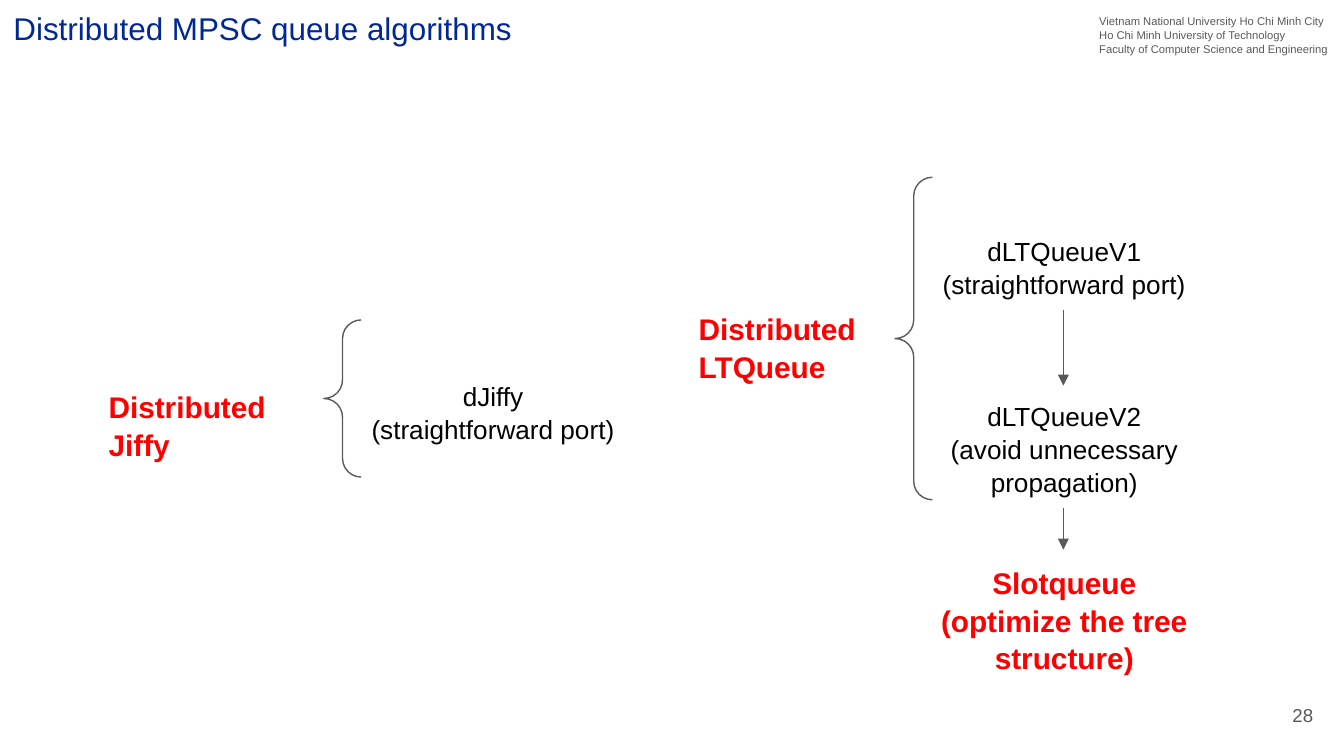
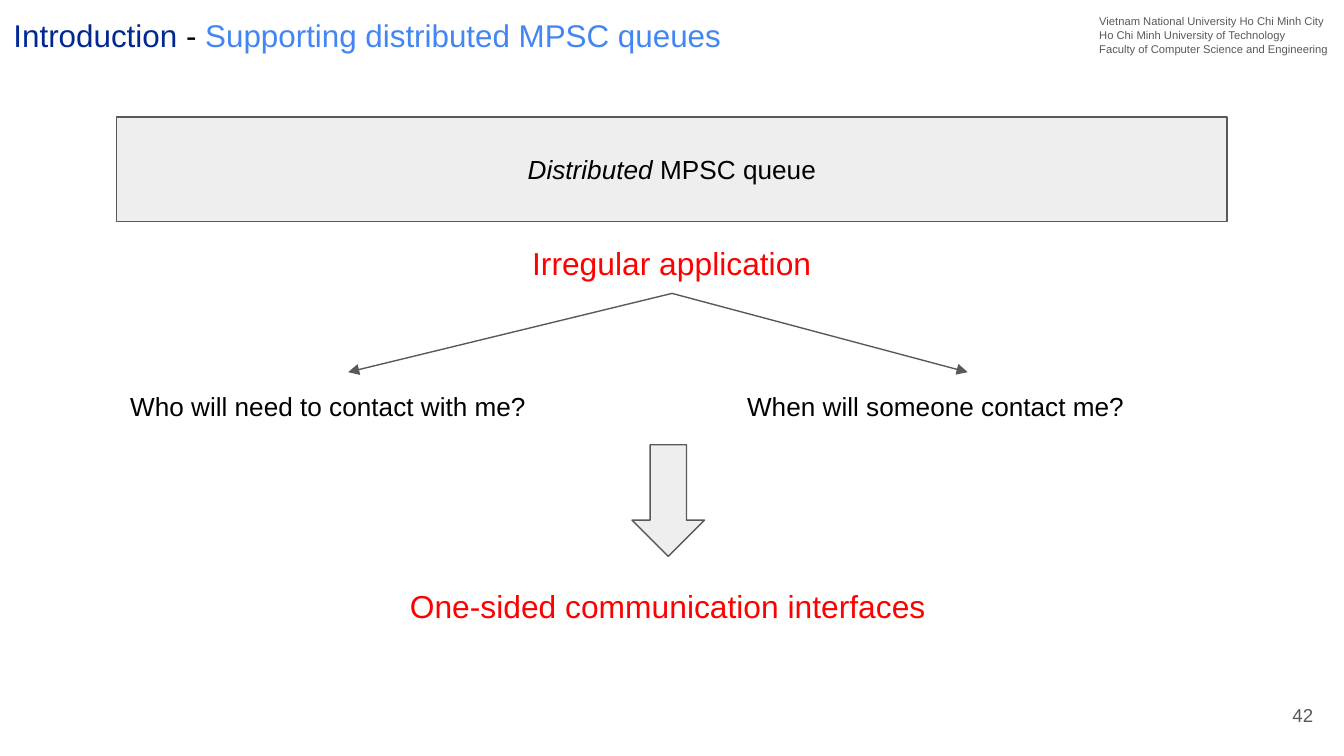
import pptx
import pptx.dml.color
import pptx.enum.shapes
import pptx.enum.text
import pptx.oxml.ns
import pptx.util
from lxml import etree

Pt = pptx.util.Pt
RGBColor = pptx.dml.color.RGBColor
SHAPE = pptx.enum.shapes.MSO_SHAPE
ALIGN = pptx.enum.text.PP_ALIGN
ANCHOR = pptx.enum.text.MSO_ANCHOR

NAVY = RGBColor(0x00, 0x27, 0x92)
SKY = RGBColor(0x42, 0x85, 0xF4)
RED = RGBColor(0xFF, 0x00, 0x00)
BLACK = RGBColor(0x00, 0x00, 0x00)
GRAY = RGBColor(0x59, 0x59, 0x59)
PALE = RGBColor(0xEE, 0xEE, 0xEE)

FONT = "Arial"
INSET = 7.2
TITLE_SIZE = 16.8
BODY_SIZE = 14
BAND_LEFT, BAND_WIDTH = 62.6, 594.7
UNIVERSITY = [
    "Vietnam National University Ho Chi Minh City",
    "Ho Chi Minh University of Technology",
    "Faculty of Computer Science and Engineering",
]


def prepare_frame(frame, anchor):
    frame.word_wrap = True
    frame.auto_size = pptx.enum.text.MSO_AUTO_SIZE.NONE
    frame.vertical_anchor = anchor
    frame.margin_left = frame.margin_right = Pt(INSET)
    frame.margin_top = frame.margin_bottom = Pt(INSET)


def format_run(run, size, color, bold=False, italic=False):
    run.font.name = FONT
    run.font.size = Pt(size)
    run.font.color.rgb = color
    run.font.bold = bold
    run.font.italic = italic


def add_runs(paragraph, texts):
    for text in texts:
        paragraph.add_run().text = text
    return paragraph.runs


def add_label(slide, left, top, width, height, lines, size=BODY_SIZE,
              color=BLACK, bold=False, align=ALIGN.CENTER, anchor=ANCHOR.TOP):
    label = slide.shapes.add_textbox(Pt(left), Pt(top), Pt(width), Pt(height))
    frame = label.text_frame
    prepare_frame(frame, anchor)
    frame.text = "\n".join(lines)
    for paragraph in frame.paragraphs:
        paragraph.alignment = align
        paragraph.line_spacing = 1.05
        for run in paragraph.runs:
            format_run(run, size, color, bold)


def add_outlined(slide, kind, left, top, width, height, fill=None):
    outlined = slide.shapes.add_shape(kind, Pt(left), Pt(top), Pt(width), Pt(height))
    outlined.shadow.inherit = False
    outlined.line.color.rgb = GRAY
    outlined.line.width = Pt(0.75)
    if fill is None:
        outlined.fill.background()
    else:
        outlined.fill.solid()
        outlined.fill.fore_color.rgb = fill
    return outlined


def add_brace(slide, left, top, height):
    brace = add_outlined(slide, SHAPE.LEFT_BRACE, left, top, 20, height)
    brace.adjustments[0] = 0.5
    brace.adjustments[1] = 0.5


def add_arrow(slide, start, end):
    arrow = slide.shapes.add_connector(
        pptx.enum.shapes.MSO_CONNECTOR.STRAIGHT, *map(Pt, start + end))
    arrow.line.color.rgb = GRAY
    arrow.line.width = Pt(0.75)
    qn = pptx.oxml.ns.qn
    etree.SubElement(arrow.line._get_or_add_ln(), qn("a:tailEnd"), type="triangle")
    etree.SubElement(arrow._element.spPr, qn("a:effectLst"))


def add_content_slide(deck, title_parts, title_height, number):
    slide = deck.slides.add_slide(deck.slide_layouts.get_by_name("Title Only"))
    title = slide.shapes.title
    title.left, title.top = Pt(0), Pt(0)
    title.width, title.height = Pt(515.5), Pt(title_height)
    prepare_frame(title.text_frame, ANCHOR.BOTTOM)
    heading = title.text_frame.paragraphs[0]
    heading.alignment = ALIGN.LEFT
    runs = add_runs(heading, [text for text, _ in title_parts])
    for run, (_, color) in zip(runs, title_parts):
        format_run(run, TITLE_SIZE, color)
    add_label(slide, 581.8, 0, 138, 36, UNIVERSITY, 6, GRAY, align=ALIGN.LEFT)
    add_label(slide, 667.4, 367.2, 43.2, 31, [number], 10, GRAY,
              align=ALIGN.RIGHT, anchor=ANCHOR.MIDDLE)
    return slide


def build_algorithms(deck):
    slide = add_content_slide(
        deck, [("Distributed MPSC queue algorithms", NAVY)], 32.4, "28")

    for left, top, family in [(51.1, 200.2, "Jiffy"), (367.2, 158.4, "LTQueue")]:
        add_label(slide, left, top, 113, 53.3, ["Distributed", family],
                  16, RED, True, ALIGN.LEFT)
    add_brace(slide, 173.5, 171.4, 84.2)
    add_brace(slide, 479.5, 95, 172.8)

    port = "(straightforward port)"
    versions_left, versions_width = 491, 158.4
    add_label(slide, 185, 195.8, versions_width, 48.2, ["dJiffy", port])
    add_label(slide, versions_left, 118.1, versions_width, 48.2, ["dLTQueueV1", port])
    add_label(slide, versions_left, 206.6, versions_width, 65.5,
              ["dLTQueueV2", "(avoid unnecessary propagation)"])
    add_label(slide, versions_left, 294.5, versions_width, 72.7,
              ["Slotqueue", "(optimize the tree structure)"], 16, RED, True)

    flow_x = 569.7
    for start_y, end_y in [(166.3, 206.6), (272.2, 294.5)]:
        add_arrow(slide, (flow_x, start_y), (flow_x, end_y))


def build_introduction(deck):
    slide = add_content_slide(
        deck,
        [("Introduction ", NAVY), ("- ", BLACK),
         ("Supporting distributed MPSC queues", SKY)],
        36, "42")

    queue = add_outlined(slide, SHAPE.RECTANGLE, BAND_LEFT, 62.6, BAND_WIDTH, 56.2, PALE)
    prepare_frame(queue.text_frame, ANCHOR.MIDDLE)
    caption = queue.text_frame.paragraphs[0]
    caption.alignment = ALIGN.CENTER
    emphasis, remainder = add_runs(caption, ["Distributed", " MPSC queue"])
    format_run(emphasis, BODY_SIZE, BLACK, italic=True)
    format_run(remainder, BODY_SIZE, BLACK)

    add_label(slide, BAND_LEFT, 122.4, BAND_WIDTH, 35.3,
              ["Irregular application"], 17, RED)
    for target_x in (186.5, 518.4):
        add_arrow(slide, (360, 157.2), (target_x, 199.4))
    for left, question in [(BAND_LEFT, "Who will need to contact with me?"),
                           (393.1, "When will someone contact me?")]:
        add_label(slide, left, 200.9, 265.7, 31.7, [question], align=ALIGN.LEFT)

    add_outlined(slide, SHAPE.DOWN_ARROW, 338.6, 238.3, 38.9, 59.8, PALE)
    add_label(slide, 60.5, 306, BAND_WIDTH, 35.3,
              ["One-sided communication interfaces"], 17, RED)


def main():
    deck = pptx.Presentation()
    deck.slide_width, deck.slide_height = Pt(720), Pt(405)
    build_algorithms(deck)
    build_introduction(deck)
    deck.save("out.pptx")


if __name__ == "__main__":
    main()
